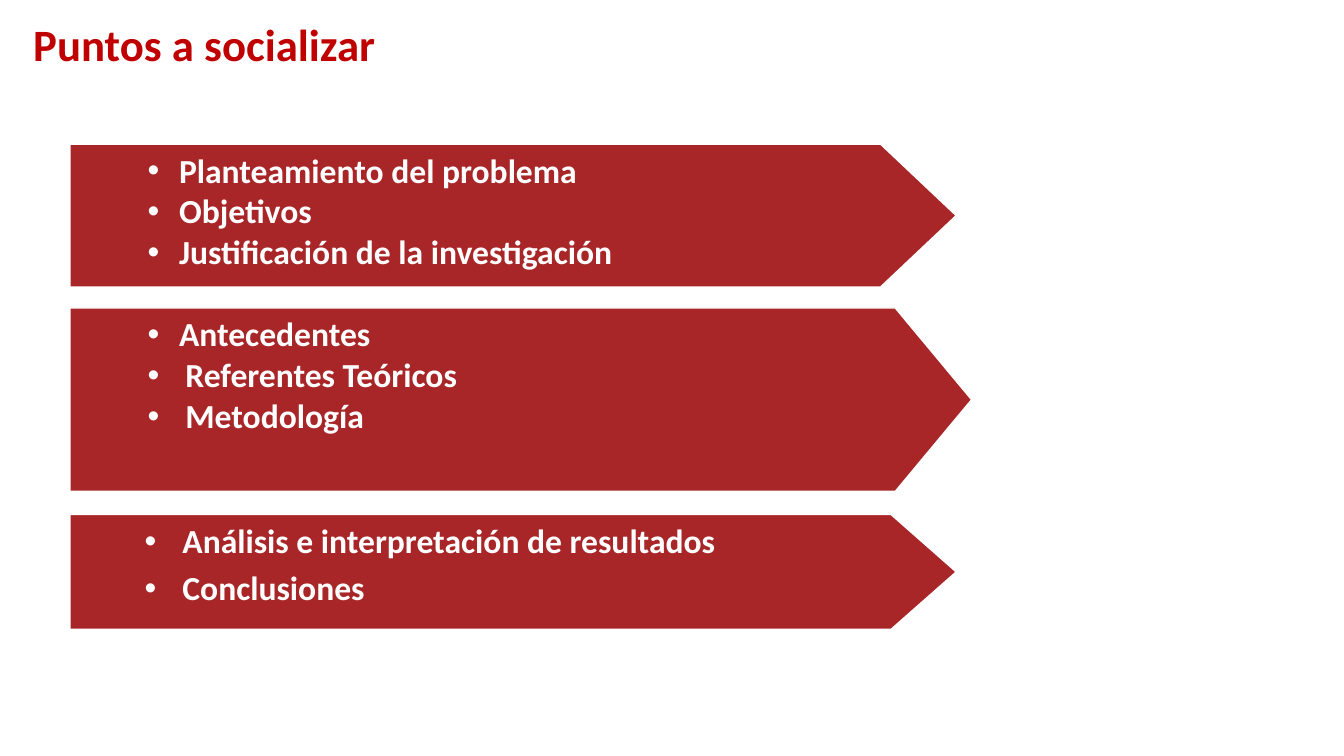
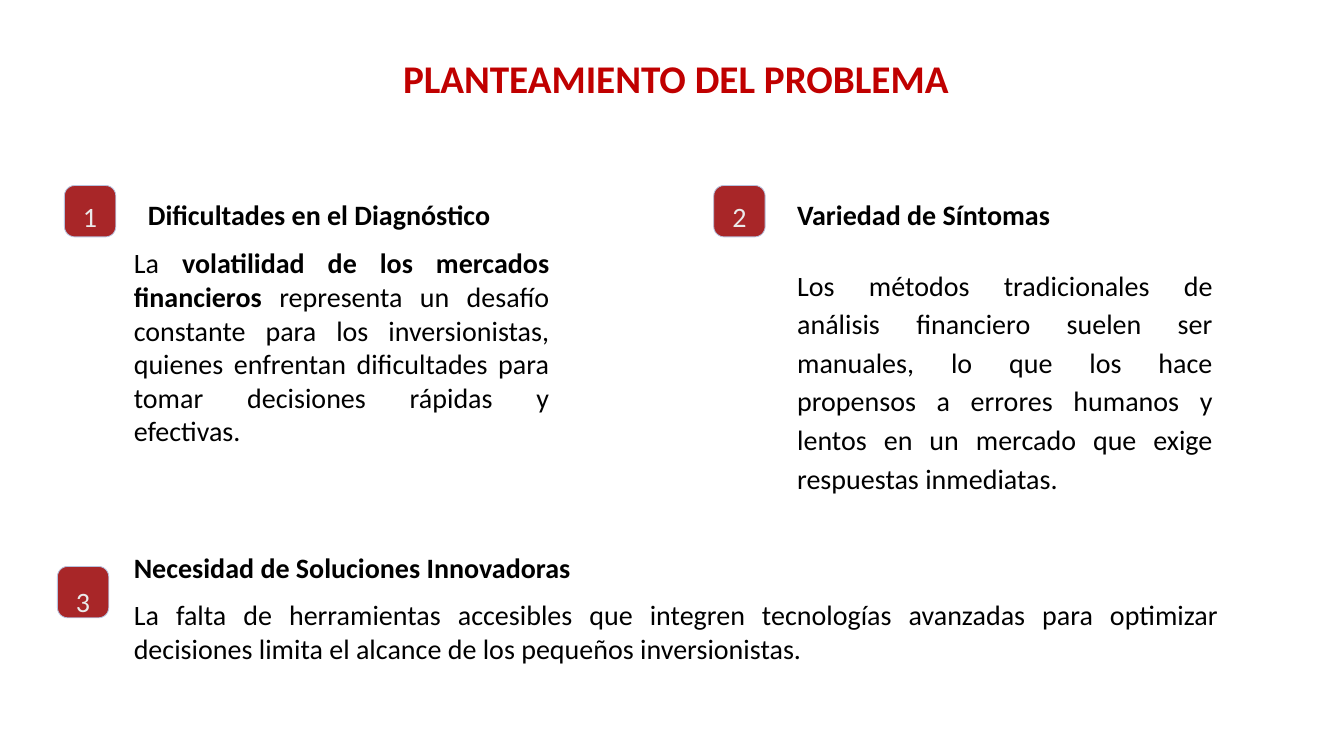
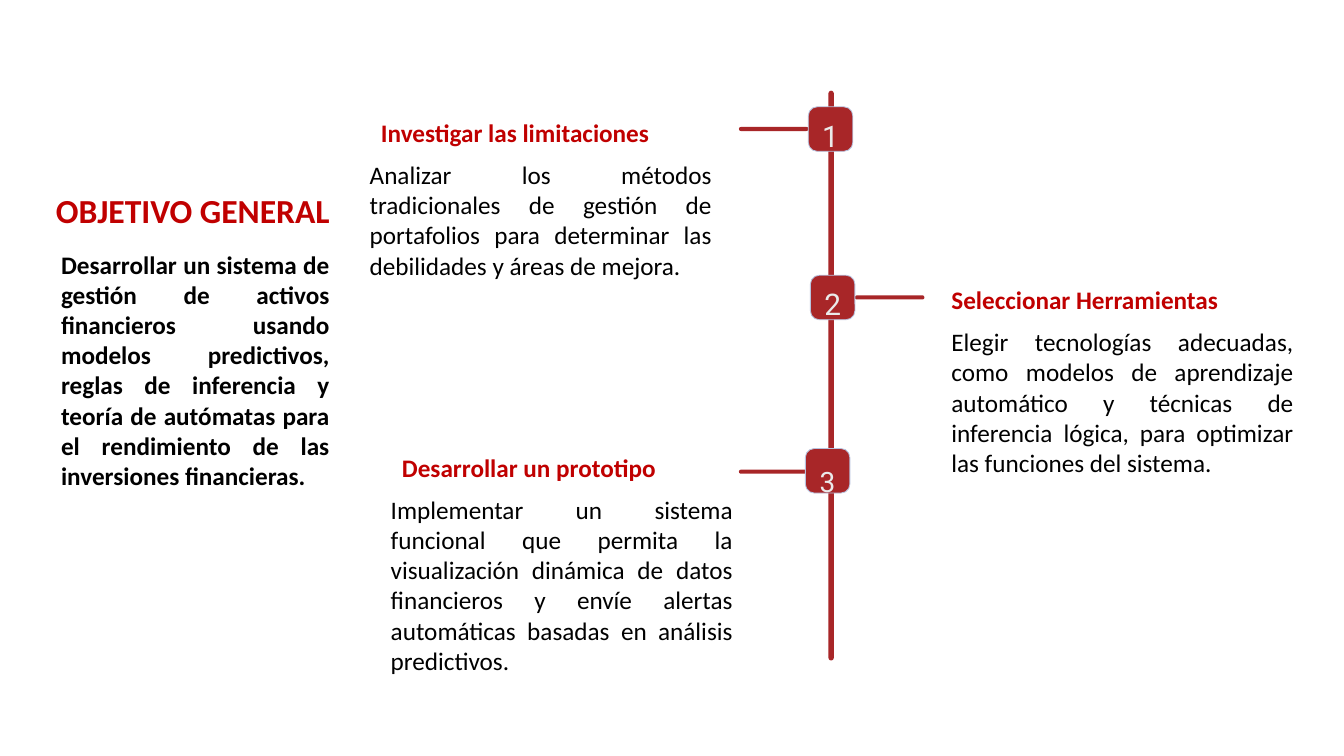
from dataclasses import dataclass

from lxml.etree import SubElement
from pptx import Presentation
from pptx.dml.color import RGBColor
from pptx.enum.shapes import MSO_SHAPE as Preset
from pptx.enum.text import MSO_ANCHOR as Anchor, MSO_AUTO_SIZE as AutoSize, PP_ALIGN as Align
from pptx.oxml.ns import qn
from pptx.util import Pt

TITLE_RED = RGBColor(0xC0, 0x00, 0x00)
BRICK = RGBColor(0xA8, 0x26, 0x28)
WHITE = RGBColor(0xFF, 0xFF, 0xFF)
BLACK = RGBColor(0x00, 0x00, 0x00)
PALE_GRAY = RGBColor(0xEA, 0xEA, 0xEA)
PALE_BLUE = RGBColor(0xB8, 0xC3, 0xDF)
BODY_FONT = "Calibri"
DIGIT_FONT = "Roboto"
TITLE_ONLY = 5


@dataclass(frozen=True)
class Area:
    """Left, top, width and height in points."""
    left: float
    top: float
    width: float
    height: float

    def lengths(self) -> tuple:
        """Return the four values as lengths."""
        return Pt(self.left), Pt(self.top), Pt(self.width), Pt(self.height)


@dataclass(frozen=True)
class Arrow:
    """A pointed band with (text, hanging indent) bullets."""
    area: Area
    tip: float
    inset: float
    gap: float
    bullets: tuple[tuple[str, float], ...]


@dataclass(frozen=True)
class Badge:
    """A numbered rounded square."""
    digit: str
    left: float
    top: float
    drop: float
    size: float = 20


@dataclass(frozen=True)
class Topic:
    """A badge with a heading and a body text."""
    badge: Badge
    heading: str
    heading_area: Area
    body: str
    body_area: Area
    line_spacing: float = 1.0
    space_after: float = 0


ARROWS = (
    Arrow(Area(50, 103, 633, 102), 54, 55.4, 3.3, (
        ("Planteamiento del problema", 22.5),
        ("Objetivos", 22.5),
        ("Justificación de la investigación", 22.5))),
    Arrow(Area(50, 220, 644, 131), 54.5, 55.4, 3.3, (
        ("Antecedentes", 22.5),
        ("Referentes Teóricos", 27),
        ("Metodología", 27))),
    Arrow(Area(50, 367.5, 633, 82), 46.5, 53.3, 7.9, (
        ("Análisis e interpretación de resultados", 27),
        ("Conclusiones", 27))),
)

PROBLEMS = (
    Topic(Badge("1", 46, 132.5, 7.7),
          "Dificultades en el Diagnóstico", Area(98.6, 137.5, 299, 31.5),
          "La **volatilidad de los mercados financieros** representa un desafío constante "
          "para los inversionistas, quienes enfrentan dificultades para tomar decisiones "
          "rápidas y efectivas.", Area(88.5, 172, 311, 152.6)),
    Topic(Badge("2", 509.8, 132.5, 7.7),
          "Variedad de Síntomas", Area(562.3, 137.5, 221, 31.5),
          "Los métodos tradicionales de análisis financiero suelen ser manuales, lo que los "
          "hace propensos a errores humanos y lentos en un mercado que exige respuestas "
          "inmediatas.", Area(562.3, 184.3, 311, 172.8), 1.15, 8),
    Topic(Badge("3", 41, 404.6, 10.7),
          "Necesidad de Soluciones Innovadoras", Area(88.5, 389.5, 378.7, 31.5),
          "La falta de herramientas accesibles que integren tecnologías avanzadas para "
          "optimizar decisiones limita el alcance de los pequeños inversionistas.",
          Area(88.5, 423.4, 789, 55.4)),
)

STEPS = (
    Topic(Badge("1", 577.4, 76.3, 5.9, 21.3),
          "Investigar las limitaciones", Area(265, 80, 250.6, 29),
          "Analizar los métodos tradicionales de gestión de portafolios para determinar las "
          "debilidades y áreas de mejora.", Area(257, 110.2, 258.5, 94.3)),
    Topic(Badge("2", 578.9, 196.6, 5.9, 21.3),
          "Seleccionar Herramientas", Area(672.5, 199.4, 226.8, 29),
          "Elegir tecnologías adecuadas, como modelos de aprendizaje automático y técnicas "
          "de inferencia lógica, para optimizar las funciones del sistema.",
          Area(672.5, 229.7, 258.5, 116.6)),
    Topic(Badge("3", 575.3, 320.4, 9.6),
          "Desarrollar un prototipo", Area(280, 319.7, 243.4, 29),
          "Implementar un sistema funcional que permita la visualización dinámica de datos "
          "financieros y envíe alertas automáticas basadas en análisis predictivos.",
          Area(272, 349.2, 258.5, 138.2)),
)

SPINE = Area(591.8, 64.8, 3.8, 407)
TICKS = (Area(527.8, 90.7, 49.7, 2.9), Area(610.6, 211, 49.7, 2.9), Area(527.8, 335.5, 49.7, 2.9))

GOAL = ("Desarrollar un sistema de gestión de activos financieros usando modelos predictivos, "
        "reglas de inferencia y teoría de autómatas para el rendimiento de las inversiones "
        "financieras.")


def write(para, text: str, *, size: float, color: RGBColor = BLACK, bold: bool = False,
          font: str = BODY_FONT, align=Align.LEFT, line_spacing: float = 1.0,
          space_after: float = 0) -> None:
    """Write text in a paragraph; double asterisks switch the weight."""
    para.alignment = align
    para.line_spacing = line_spacing
    para.space_before = Pt(0)
    para.space_after = Pt(space_after)
    for index, part in enumerate(text.split("**")):
        span = para.add_run()
        span.text = part
        span.font.name = font
        span.font.size = Pt(size)
        span.font.bold = bold != (index % 2 == 1)
        span.font.color.rgb = color


def set_bullet(para, hanging: float) -> None:
    """Give a paragraph a round bullet with a hanging indent."""
    properties = para._p.get_or_add_pPr()
    properties.set("marL", str(Pt(hanging)))
    properties.set("indent", str(-Pt(hanging)))
    SubElement(properties, qn("a:buFont")).set("typeface", "Arial")
    SubElement(properties, qn("a:buChar")).set("char", "•")


def add_page(deck, title: str, area: Area, size: float, align=Align.CENTER,
             line_spacing: float = 1.0):
    """Add a page with a formatted title."""
    page = deck.slides.add_slide(deck.slide_layouts[TITLE_ONLY])
    box = page.shapes.title
    box.left, box.top, box.width, box.height = area.lengths()
    frame = box.text_frame
    frame.word_wrap = True
    frame.auto_size = AutoSize.NONE
    frame.vertical_anchor = Anchor.TOP
    write(frame.paragraphs[0], title, size=size, color=TITLE_RED, bold=True,
          align=align, line_spacing=line_spacing)
    return page


def add_text(page, area: Area, text: str, **style) -> None:
    """Add a wrapping, justified text box."""
    frame = page.shapes.add_textbox(*area.lengths()).text_frame
    frame.word_wrap = True
    frame.auto_size = AutoSize.SHAPE_TO_FIT_TEXT
    write(frame.paragraphs[0], text, align=Align.JUSTIFY, **style)


def add_block(page, preset, area: Area, adjustment: float, line: RGBColor | None = None,
              line_width: float = 1):
    """Add a brick-coloured shape without shadow."""
    box = page.shapes.add_shape(preset, *area.lengths())
    box.adjustments[0] = adjustment
    box.shadow.inherit = False
    box.fill.solid()
    box.fill.fore_color.rgb = BRICK
    if line is None:
        box.line.fill.background()
    else:
        box.line.color.rgb = line
        box.line.width = Pt(line_width)
    return box


def add_arrow(page, arrow: Arrow) -> None:
    """Add a pointed band with its bullets."""
    box = add_block(page, Preset.PENTAGON, arrow.area, arrow.tip / arrow.area.height, WHITE)
    frame = box.text_frame
    frame.word_wrap = True
    frame.vertical_anchor = Anchor.TOP
    frame.margin_left = Pt(arrow.inset)
    frame.margin_top = frame.margin_bottom = Pt(7)
    for index, (text, hanging) in enumerate(arrow.bullets):
        para = frame.add_paragraph() if index else frame.paragraphs[0]
        write(para, text, size=24, color=WHITE, bold=True, line_spacing=0.9,
              space_after=arrow.gap)
        set_bullet(para, hanging)


def add_badge(page, badge: Badge, side: float, font: str) -> None:
    """Add a numbered rounded square."""
    area = Area(badge.left, badge.top, side, side)
    frame = add_block(page, Preset.ROUNDED_RECTANGLE, area, 0.2, PALE_BLUE, 0.6).text_frame
    frame.word_wrap = False
    frame.vertical_anchor = Anchor.TOP
    frame.margin_left = frame.margin_right = frame.margin_bottom = 0
    frame.margin_top = Pt(badge.drop)
    write(frame.paragraphs[0], badge.digit, size=badge.size, color=PALE_GRAY, font=font,
          align=Align.CENTER)


def add_topic(page, topic: Topic, *, side: float, size: float, color: RGBColor = BLACK,
              font: str = BODY_FONT) -> None:
    """Add a badge, its heading and its body text."""
    add_badge(page, topic.badge, side, font)
    add_text(page, topic.heading_area, topic.heading, size=size, color=color, bold=True)
    add_text(page, topic.body_area, topic.body, size=size,
             line_spacing=topic.line_spacing, space_after=topic.space_after)


def build_agenda(deck) -> None:
    """Build the list of points to share."""
    page = add_page(deck, "Puntos a socializar", Area(16.5, 13, 828, 78), 32, Align.LEFT, 0.9)
    for arrow in ARROWS:
        add_arrow(page, arrow)


def build_problem(deck) -> None:
    """Build the problem statement."""
    page = add_page(deck, "PLANTEAMIENTO DEL PROBLEMA", Area(241.2, 35.3, 483, 41), 28)
    for topic in PROBLEMS:
        add_topic(page, topic, side=36.7, size=20)


def build_objectives(deck) -> None:
    """Build the general goal and its timeline of steps."""
    page = add_page(deck, "OBJETIVO GENERAL", Area(20.2, 131.8, 235, 36), 24)
    add_text(page, Area(36.5, 174.2, 206, 181.4), GOAL, size=18, bold=True)
    for area in (SPINE, *TICKS):
        add_block(page, Preset.ROUNDED_RECTANGLE, area, 0.5)
    for topic in STEPS:
        add_topic(page, topic, side=31.8, size=18, color=TITLE_RED, font=DIGIT_FONT)


def main() -> None:
    """Build and save the deck."""
    deck = Presentation()
    deck.slide_width, deck.slide_height = Pt(960), Pt(540)
    build_agenda(deck)
    build_problem(deck)
    build_objectives(deck)
    deck.save("out.pptx")


if __name__ == "__main__":
    main()
